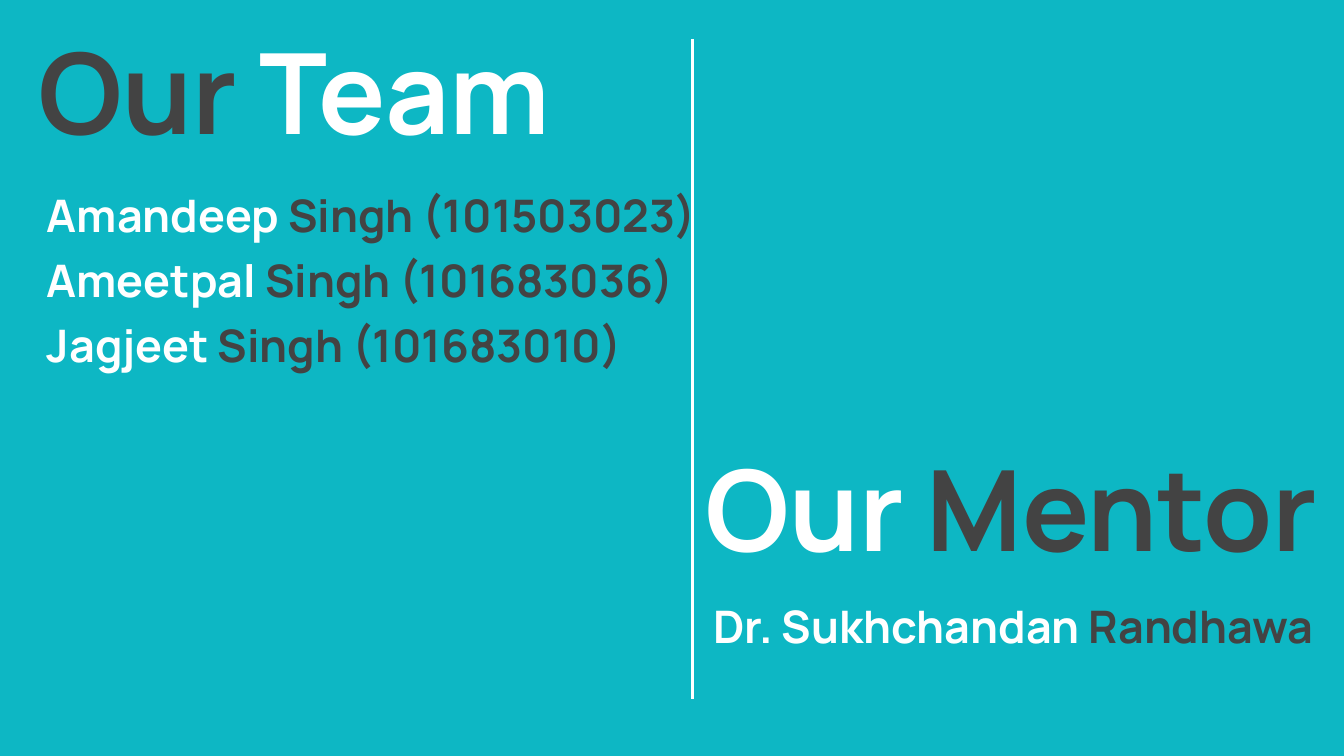
from pptx import Presentation
from pptx.dml.color import RGBColor
from pptx.enum.shapes import MSO_CONNECTOR, MSO_SHAPE
from pptx.enum.text import MSO_ANCHOR
from pptx.oxml.ns import qn
from pptx.util import Inches, Pt
from lxml.etree import SubElement

TEAL = RGBColor(0x0D, 0xB7, 0xC4)
WHITE = RGBColor(0xFF, 0xFF, 0xFF)
GREY = RGBColor(0x43, 0x43, 0x43)


def add_run(para, text, *, size, color, font="Manrope", bold=True):
    run = para.add_run()
    run.text = text
    run.font.name = font
    run.font.size = Pt(size)
    run.font.bold = bold
    run.font.color.rgb = color


class Board:
    inset = Inches(0.1)
    gap = Pt(6)

    def __init__(self, slide):
        self.slide = slide

    def panel(self, left, top, width, height):
        shape = self.slide.shapes.add_shape(
            MSO_SHAPE.RECTANGLE, *map(Inches, (left, top, width, height)))
        shape.shadow.inherit = False
        shape.fill.solid()
        shape.fill.fore_color.rgb = TEAL
        shape.line.color.rgb = WHITE
        shape.line.width = Pt(0.75)

    def text(self, left, top, width, height, lines, size,
             colors=(WHITE, GREY), anchor=MSO_ANCHOR.TOP):
        box = self.slide.shapes.add_textbox(
            *map(Inches, (left, top, width, height)))
        frame = box.text_frame
        frame.word_wrap = True
        frame.vertical_anchor = anchor
        frame.margin_left = frame.margin_right = self.inset
        frame.margin_top = frame.margin_bottom = self.inset
        for index, parts in enumerate(lines):
            para = frame.add_paragraph() if index else frame.paragraphs[0]
            para.space_before = self.gap
            for part, color in zip(parts, colors):
                add_run(para, part, size=size, color=color)

    def rule(self, x, top, bottom):
        line = self.slide.shapes.add_connector(
            MSO_CONNECTOR.STRAIGHT, *map(Inches, (x, top, x, bottom)))
        line.line.color.rgb = WHITE
        line.line.width = Pt(1.5)
        SubElement(line._element.spPr, qn("a:effectLst"))


def main():
    deck = Presentation()
    deck.slide_width = Inches(10)
    deck.slide_height = deck.slide_width * 9 // 16
    board = Board(deck.slides.add_slide(deck.slide_layouts[6]))

    team = [
        ("Amandeep ", "Singh (101503023)"),
        ("Ameetpal ", "Singh (101683036)"),
        ("Jagjeet ", "Singh (101683010)"),
    ]
    board.panel(-0.12, -0.14, 10.28, 5.77)
    board.text(0.19, 0.07, 4.87, 1.14, [("Our", " Team")], 60,
               colors=(GREY, WHITE))
    board.text(0.25, 1.3, 5.45, 3.01, team, 24)
    board.text(5.15, 3, 4.76, 1.54, [("Our ", "Mentor")], 60,
               anchor=MSO_ANCHOR.MIDDLE)
    board.text(5.21, 4.3, 4.87, 0.71, [("Dr. Sukhchandan ", "Randhawa")], 24,
               anchor=MSO_ANCHOR.MIDDLE)
    board.rule(5.15, 0.29, 5.2)
    deck.save("out.pptx")


if __name__ == "__main__":
    main()
